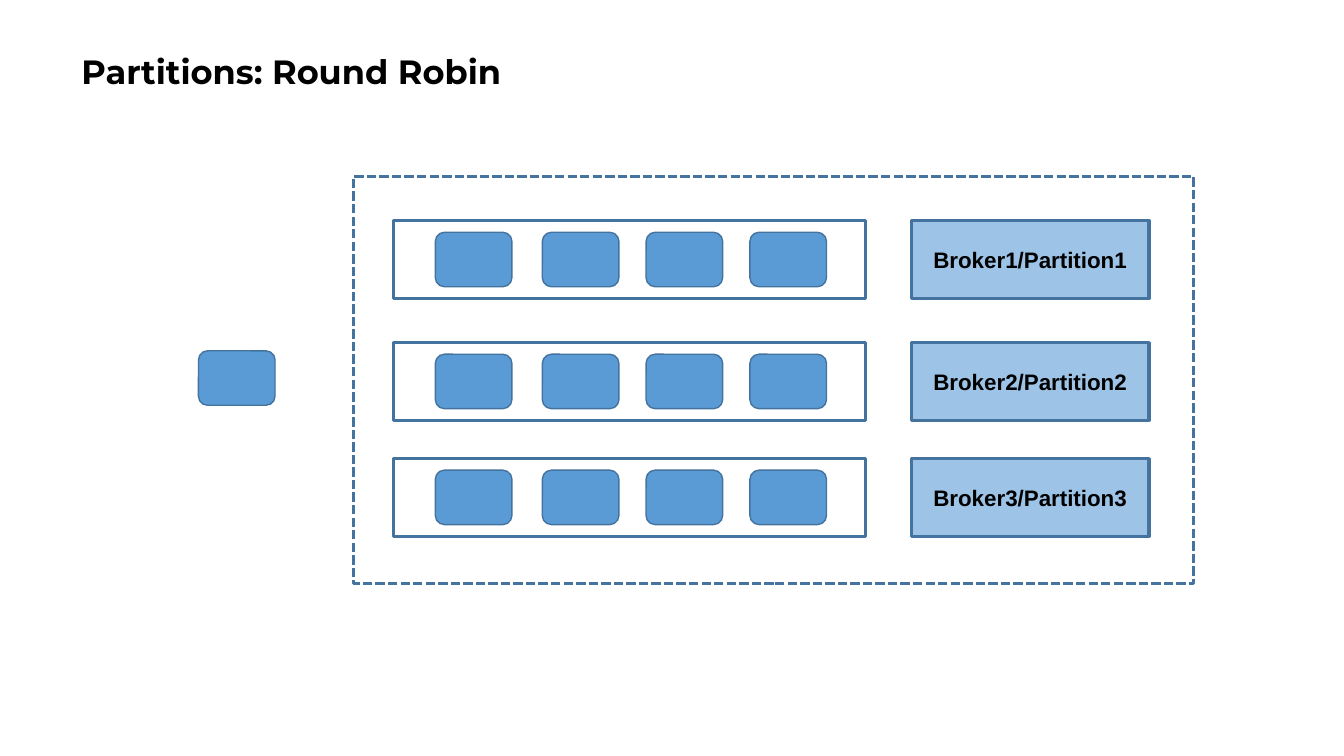
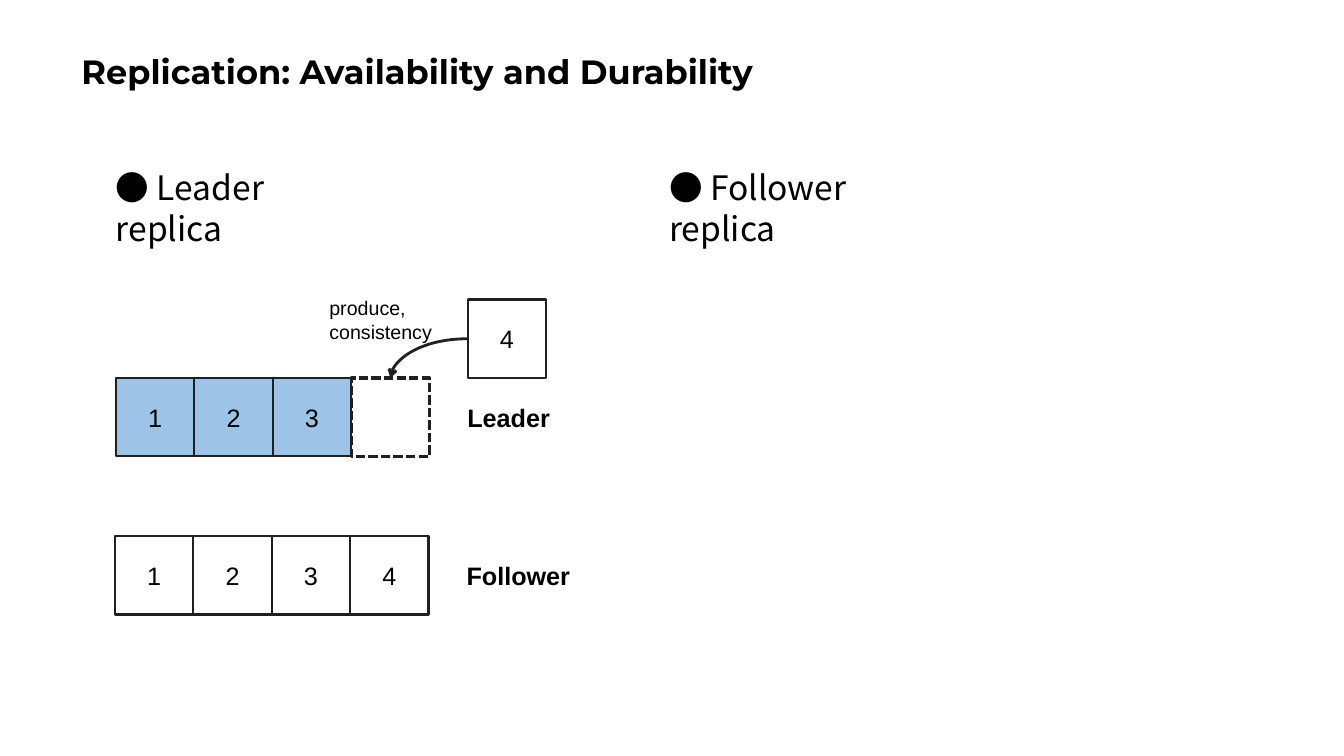
from pptx import Presentation
from pptx.dml.color import RGBColor
from pptx.enum.dml import MSO_LINE
from pptx.enum.shapes import MSO_CONNECTOR, MSO_SHAPE
from pptx.enum.text import MSO_ANCHOR, PP_ALIGN
from pptx.oxml.ns import qn
from pptx.util import Pt
from lxml import etree

# Colours and fonts
BLACK = RGBColor(0x00, 0x00, 0x00)
INK = RGBColor(0x20, 0x20, 0x20)
EDGE = RGBColor(0x43, 0x73, 0x9E)
BLUE = RGBColor(0x5B, 0x9B, 0xD5)
PALE = RGBColor(0x9D, 0xC3, 0xE6)
HEAD = dict(name="Montserrat", size=Pt(24), bold=True)
POINT = dict(name="Noto Sans CJK SC", size=Pt(24))
LABEL = dict(name="Arial", size=Pt(18), bold=True)
DIGIT = dict(name="Arial", size=Pt(18))
BROKER = dict(name="Arial", size=Pt(16), bold=True)
NOTE = dict(name="Arial", size=Pt(14))

# Line styles
FRAME = dict(color=EDGE, width=2.25, dash=MSO_LINE.SQUARE_DOT)
THICK = dict(color=EDGE, width=2.25)
THIN = dict(color=EDGE, width=1)
SOLID = dict(color=INK, width=1.5)
SLOT = dict(color=INK, width=2.25, dash=MSO_LINE.SQUARE_DOT)
CURVE = dict(color=INK, width=2)

# Content of slide 1: (broker, top of its row)
ROBIN = "Partitions: Round Robin"
ROWS = [
    ("Broker1/Partition1", 157.7),
    ("Broker2/Partition2", 244.8),
    ("Broker3/Partition3", 327.6),
]
CHIPS = [311, 387.4, 461.5, 535.7]
CHIP_W, CHIP_H = 54.7, 38.9
ROW_H = 55.4

# Content of slide 2
REPLICA = "Replication: Availability and Durability"
LOGS = [
    (82.8, 270, ["1", "2", "3"], PALE),
    (82.1, 383, ["1", "2", "3", "4"], None),
]
CELL = 56
TEXTS = [
    (["● Leader replica"], (75.6, 115.9, 187.2, 65), POINT),
    (["● Follower replica"], (470.9, 115.9, 203, 65), POINT),
    (["Leader"], (326.7, 283.7, 85, 28.8), LABEL),
    (["Follower"], (326.2, 396.7, 100, 28.8), LABEL),
    (["produce,", "consistency"], (228.2, 208.1, 94, 41), NOTE),
]


def write(frame, lines, font, gap, align=PP_ALIGN.LEFT, anchor=MSO_ANCHOR.TOP):
    for key, val in dict(word_wrap=True, vertical_anchor=anchor).items():
        setattr(frame, key, val)
    for i, line in enumerate(lines):
        para = frame.add_paragraph() if i else frame.paragraphs[0]
        para.alignment, para.line_spacing = align, gap
        run = para.add_run()
        run.text = line
        for key, val in font.items():
            setattr(run.font, key, val)
        run.font.color.rgb = BLACK


def stroke(line, color, width, dash=None):
    line.color.rgb, line.width = color, Pt(width)
    if dash:
        line.dash_style = dash


def box(slide, area, line, fill=None, text=None, font=None, kind=MSO_SHAPE.RECTANGLE):
    shape = slide.shapes.add_shape(kind, *map(Pt, area))
    shape.shadow.inherit = False
    if fill is None:
        shape.fill.background()
    else:
        shape.fill.solid()
        shape.fill.fore_color.rgb = fill
    stroke(shape.line, **line)
    if text:
        write(shape.text_frame, [text], font, 1.0, PP_ALIGN.CENTER, MSO_ANCHOR.MIDDLE)


def chip(slide, x, y):
    box(slide, (x, y, CHIP_W, CHIP_H), THIN, BLUE, kind=MSO_SHAPE.ROUNDED_RECTANGLE)


def label(slide, lines, area, font, gap, **place):
    frame = slide.shapes.add_textbox(*map(Pt, area)).text_frame
    write(frame, lines, font, gap, **place)


def arrow(slide, ends):
    link = slide.shapes.add_connector(MSO_CONNECTOR.CURVE, *map(Pt, ends))
    stroke(link.line, **CURVE)
    props = link._element.spPr
    # A quarter bend, an open arrowhead and no shadow
    props.find(qn("a:prstGeom")).set("prst", "curvedConnector2")
    etree.SubElement(props.find(qn("a:ln")), qn("a:tailEnd"), type="arrow")
    etree.SubElement(props, qn("a:effectLst"))


def page(deck, title):
    slide = deck.slides.add_slide(deck.slide_layouts[6])
    label(slide, [title], (51.1, 0, 828, 104.4), HEAD, 0.9, anchor=MSO_ANCHOR.MIDDLE)
    return slide


def robin(deck):
    slide = page(deck, ROBIN)
    box(slide, (252.7, 126, 599.8, 290.9), FRAME)
    for name, top in ROWS:
        box(slide, (280.8, top, 337.7, ROW_H), THICK)
        for x in CHIPS:
            chip(slide, x, top + (ROW_H - CHIP_H) / 2)
        box(slide, (650.9, top, 169.9, ROW_H), THICK, PALE, name, BROKER)
    chip(slide, 141.8, 250.6)


def replica(deck):
    slide = page(deck, REPLICA)
    # Leader and follower logs
    for left, top, items, fill in LOGS:
        for i, item in enumerate(items):
            box(slide, (left + i * CELL, top, CELL, CELL), SOLID, fill, item, DIGIT)
    # Free slot and the entry that goes into it
    left, top, items, _ = LOGS[0]
    slot = left + len(items) * CELL
    new_x, new_y = 334.1, top - CELL
    box(slide, (slot, top, CELL, CELL), SLOT)
    box(slide, (new_x, new_y, CELL, CELL), SOLID, None, "4", DIGIT)
    arrow(slide, (new_x, new_y + CELL / 2, slot + CELL / 2, top))
    for lines, area, font in TEXTS:
        label(slide, lines, area, font, Pt(1.2 * font["size"].pt))


def main():
    deck = Presentation()
    deck.slide_width, deck.slide_height = Pt(960), Pt(540)
    robin(deck)
    replica(deck)
    deck.save("out.pptx")


if __name__ == "__main__":
    main()
